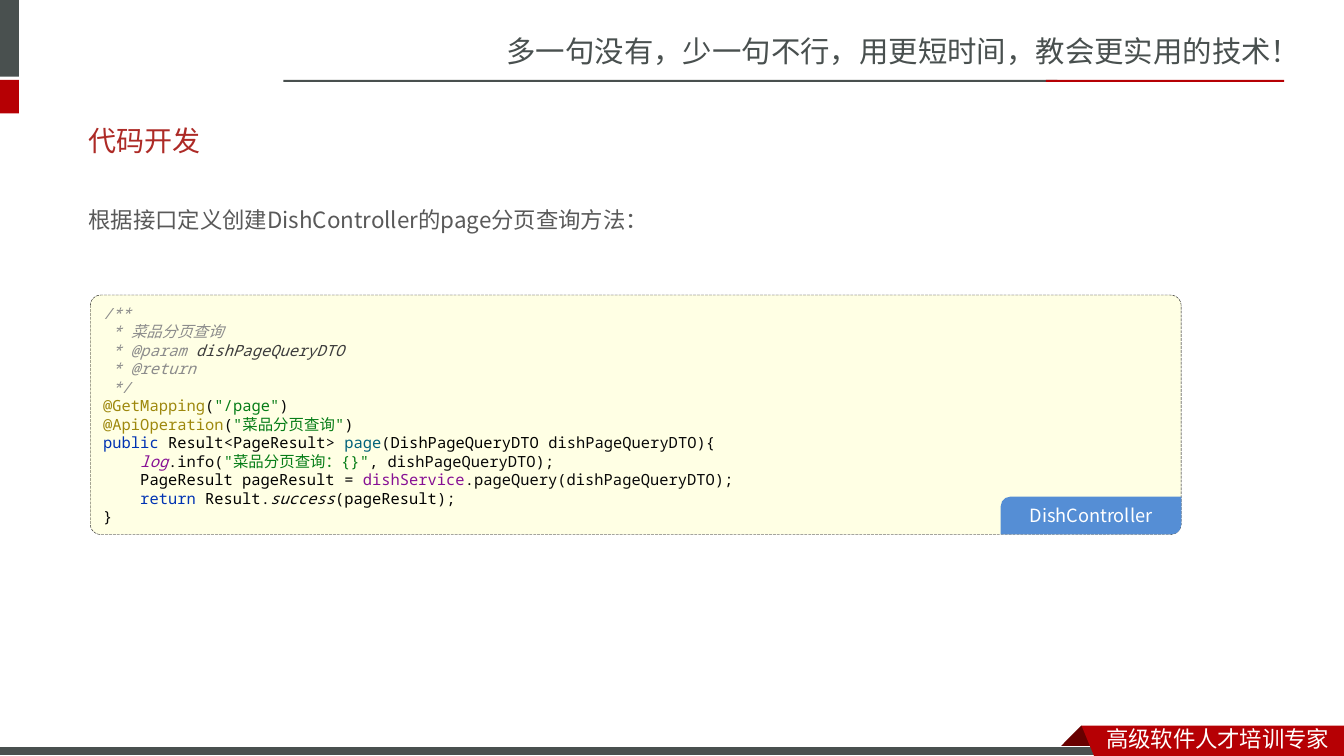
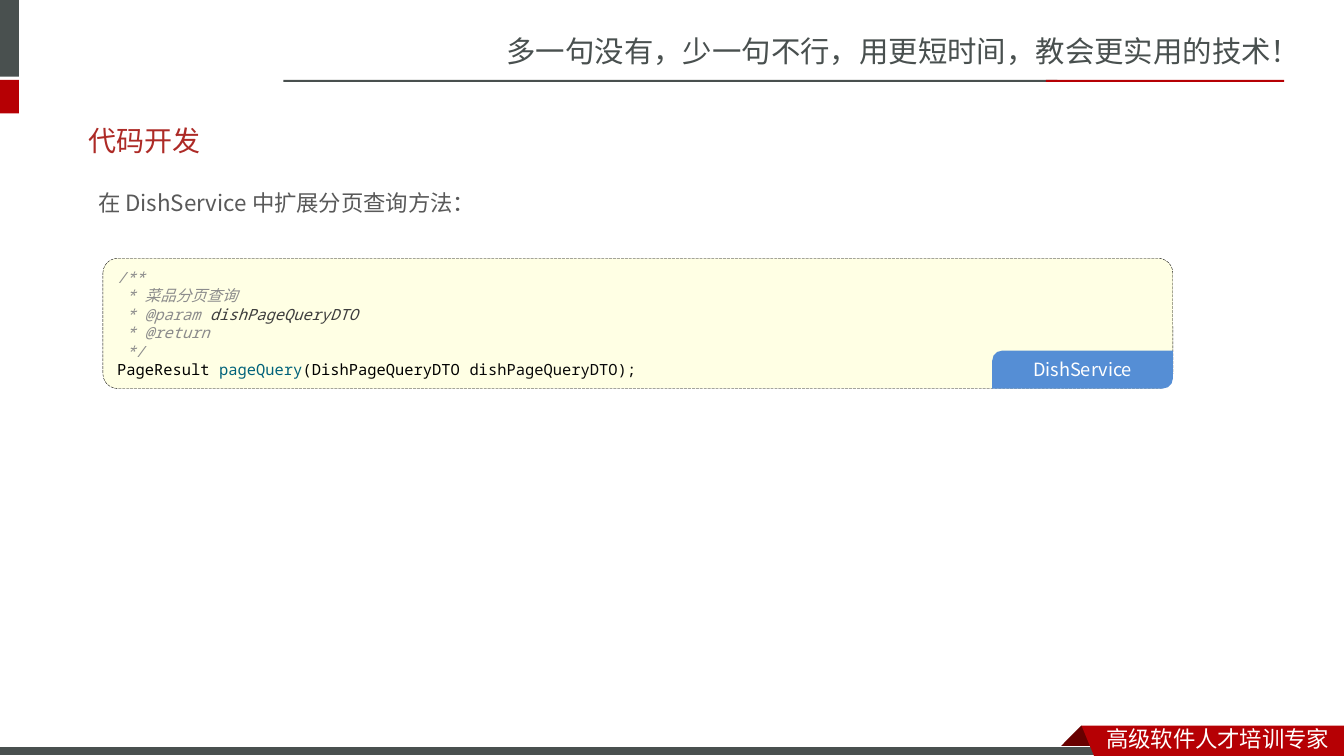
from dataclasses import dataclass

from lxml.etree import SubElement
from pptx import Presentation
from pptx.dml.color import RGBColor
from pptx.enum.dml import MSO_LINE
from pptx.enum.shapes import MSO_SHAPE
from pptx.enum.text import MSO_ANCHOR, MSO_AUTO_SIZE, PP_ALIGN
from pptx.oxml.ns import qn
from pptx.util import Emu, Pt

EMU_PER_PX = 9525
SLIDE_W, SLIDE_H = 1280, 720
TITLE_ONLY = 5


@dataclass(frozen=True)
class Theme:
    slate: str = "49504F"
    red: str = "B60004"
    dark_red: str = "680000"
    heading: str = "AD2A26"
    body: str = "595959"
    white: str = "FFFFFF"
    code_fill: str = "FFFFE4"
    code_border: str = "000000"
    badge: str = "558ED5"
    title_font: str = "Calibri"
    body_font: str = "Noto Sans CJK JP"
    brand_font: str = "Noto Sans CJK SC"
    code_font: str = "Noto Sans Mono"
    slogan_size: int = 21
    title_size: int = 20
    body_size: int = 16
    badge_size: int = 13
    code_size: int = 11


THEME = Theme()

# Token kind: (colour, italic)
SYNTAX = {
    "comment": ("8C8C8C", True),
    "doc_param": ("3D3D3D", True),
    "annotation": ("9E880D", False),
    "plain": ("080808", False),
    "type": ("000000", False),
    "string": ("067D17", False),
    "keyword": ("0033B3", False),
    "method": ("00627A", False),
    "field": ("871094", False),
    "static_field": ("871094", True),
    "static_call": ("080808", True),
}

DOC_COMMENT = [
    [("/**", "comment")],
    [(" * 菜品分页查询", "comment")],
    [(" * @param ", "comment"), ("dishPageQueryDTO", "doc_param")],
    [(" * @return", "comment")],
    [(" */", "comment")],
]

CONTROLLER_CODE = DOC_COMMENT + [
    [("@GetMapping", "annotation"), ("(", "plain"), ('"/page"', "string"), (")", "plain")],
    [("@ApiOperation", "annotation"), ("(", "plain"), ('"菜品分页查询"', "string"),
     (")", "plain")],
    [("public ", "keyword"), ("Result", "type"), ("<", "plain"), ("PageResult", "type"),
     ("> ", "plain"), ("page", "method"), ("(", "plain"), ("DishPageQueryDTO ", "type"),
     ("dishPageQueryDTO){", "plain")],
    [("    log", "static_field"), (".info(", "plain"), ('"菜品分页查询：{}"', "string"),
     (", dishPageQueryDTO);", "plain")],
    [("    PageResult pageResult ", "type"), ("= ", "plain"), ("dishService", "field"),
     (".pageQuery(dishPageQueryDTO);", "plain")],
    [("    return ", "keyword"), ("Result", "type"), (".", "plain"),
     ("success", "static_call"), ("(", "plain"), ("pageResult", "type"), (");", "plain")],
    [("}", "plain")],
]

SERVICE_CODE = DOC_COMMENT + [
    [("PageResult ", "type"), ("pageQuery", "method"), ("(", "plain"),
     ("DishPageQueryDTO ", "type"), ("dishPageQueryDTO);", "plain")],
]


def px(*lengths):
    return [Emu(length * EMU_PER_PX) for length in lengths]


def style_run(run, font, size, color, italic=None, east_asian=None):
    run.font.name = font
    run.font.size = Pt(size)
    run.font.color.rgb = RGBColor.from_string(color)
    run.font.italic = italic
    SubElement(run.font._element, qn("a:ea")).set("typeface", east_asian or font)


def paint(shape, fill, line=None, width=0.75):
    shape.shadow.inherit = False
    shape.fill.solid()
    shape.fill.fore_color.rgb = RGBColor.from_string(fill)
    if line:
        shape.line.color.rgb = RGBColor.from_string(line)
        shape.line.width = Pt(width)
    else:
        shape.line.fill.background()
    return shape


def add_block(slide, box, fill, line=None):
    return paint(slide.shapes.add_shape(MSO_SHAPE.RECTANGLE, *px(*box)), fill, line)


def add_outline(slide, points, fill):
    builder = slide.shapes.build_freeform(*points[0], scale=EMU_PER_PX)
    builder.add_line_segments(points[1:], close=True)
    return paint(builder.convert_to_shape(), fill)


def add_label(slide, box, text, font, size, color):
    label = slide.shapes.add_textbox(*px(*box))
    frame = label.text_frame
    frame.word_wrap = True
    frame.auto_size = MSO_AUTO_SIZE.SHAPE_TO_FIT_TEXT
    frame.text = text
    style_run(frame.paragraphs[0].runs[0], font, size, color)
    return label


def add_header(slide):
    slogan = add_label(slide, (473, 27, 807, 45),
                       "多一句没有，少一句不行，用更短时间，教会更实用的技术！",
                       THEME.brand_font, THEME.slogan_size, THEME.slate)
    bars = [
        ((0, 0, 18, 73), THEME.slate),
        ((0, 76, 18, 32), THEME.red),
        ((270, 76, 737, 2), THEME.slate),
        ((996, 76, 227, 2), THEME.red),
    ]
    return [slogan] + [add_block(slide, box, fill) for box, fill in bars]


def add_footer(slide):
    top, fold_x = 691, 1030
    return [
        add_outline(slide, [(fold_x, top), (fold_x + 21, top + 21), (fold_x - 21, top + 21)],
                    THEME.dark_red),
        add_block(slide, (0, 711, 1055, SLIDE_H - 711), THEME.slate, THEME.white),
        add_outline(slide, [(fold_x, top), (SLIDE_W, top), (SLIDE_W, SLIDE_H),
                            (fold_x + 12, SLIDE_H)], THEME.red),
        add_label(slide, (1044, 686, SLIDE_W - 1044, 34), "高级软件人才培训专家",
                  THEME.brand_font, THEME.body_size, THEME.white),
    ]


def brand_layout(slide):
    """Draw header and footer once and move them to the layout all slides share."""
    layout_tree = slide.slide_layout.shapes.element
    for part in add_header(slide) + add_footer(slide):
        layout_tree.append(part.element)


def set_title(slide, text):
    title = slide.shapes.title
    title.left, title.top, title.width, title.height = px(75, 106, 1123, 55)
    frame = title.text_frame
    frame.text = text
    frame.vertical_anchor = MSO_ANCHOR.MIDDLE
    frame.paragraphs[0].alignment = PP_ALIGN.LEFT
    style_run(frame.paragraphs[0].runs[0], THEME.title_font, THEME.title_size, THEME.heading)


def add_badge(slide, right, bottom, class_name):
    width, height = 172, 36
    badge = paint(slide.shapes.add_shape(
        MSO_SHAPE.ROUND_2_DIAG_RECTANGLE,
        *px(right - width, bottom - height, width, height)), THEME.badge)
    badge.adjustments[0], badge.adjustments[1] = 0.26, 0
    frame = badge.text_frame
    frame.margin_left = frame.margin_right = frame.margin_top = frame.margin_bottom = 0
    frame.vertical_anchor = MSO_ANCHOR.MIDDLE
    frame.text = class_name
    frame.paragraphs[0].alignment = PP_ALIGN.CENTER
    style_run(frame.paragraphs[0].runs[0], THEME.body_font, THEME.badge_size, THEME.white)


def add_code_panel(slide, box, code, class_name):
    left, top, width, height = box
    corner = 10 if height > 200 else 14
    panel = paint(slide.shapes.add_shape(MSO_SHAPE.ROUNDED_RECTANGLE, *px(*box)),
                  THEME.code_fill, THEME.code_border, 0.25)
    panel.line.dash_style = MSO_LINE.LONG_DASH
    panel.adjustments[0] = corner / height
    frame = panel.text_frame
    frame.word_wrap = True
    frame.vertical_anchor = MSO_ANCHOR.MIDDLE
    for number, tokens in enumerate(code):
        line = frame.add_paragraph() if number else frame.paragraphs[0]
        line.alignment = PP_ALIGN.LEFT
        for text, kind in tokens:
            run = line.add_run()
            run.text = text
            style_run(run, THEME.code_font, THEME.code_size, *SYNTAX[kind],
                      east_asian=THEME.brand_font)
    add_badge(slide, left + width, top + height, class_name)


def fill_code_slide(slide, lead, lead_box, code, code_box, class_name):
    set_title(slide, "代码开发")
    intro = add_label(slide, lead_box, lead, THEME.body_font, THEME.body_size, THEME.body)
    intro.text_frame.paragraphs[0].line_spacing = 1.5
    add_code_panel(slide, code_box, code, class_name)


def main():
    deck = Presentation()
    deck.slide_width, deck.slide_height = px(SLIDE_W, SLIDE_H)
    layout = deck.slide_layouts[TITLE_ONLY]

    controller = deck.slides.add_slide(layout)
    brand_layout(controller)
    fill_code_slide(controller, "根据接口定义创建DishController的page分页查询方法：",
                    (75, 179, 1093, 44), CONTROLLER_CODE, (86, 281, 1039, 228),
                    "DishController")

    service = deck.slides.add_slide(layout)
    fill_code_slide(service, "在 DishService 中扩展分页查询方法：",
                    (84, 163, 1056, 44), SERVICE_CODE, (98, 246, 1019, 124),
                    "DishService")
    deck.save("out.pptx")


if __name__ == "__main__":
    main()
